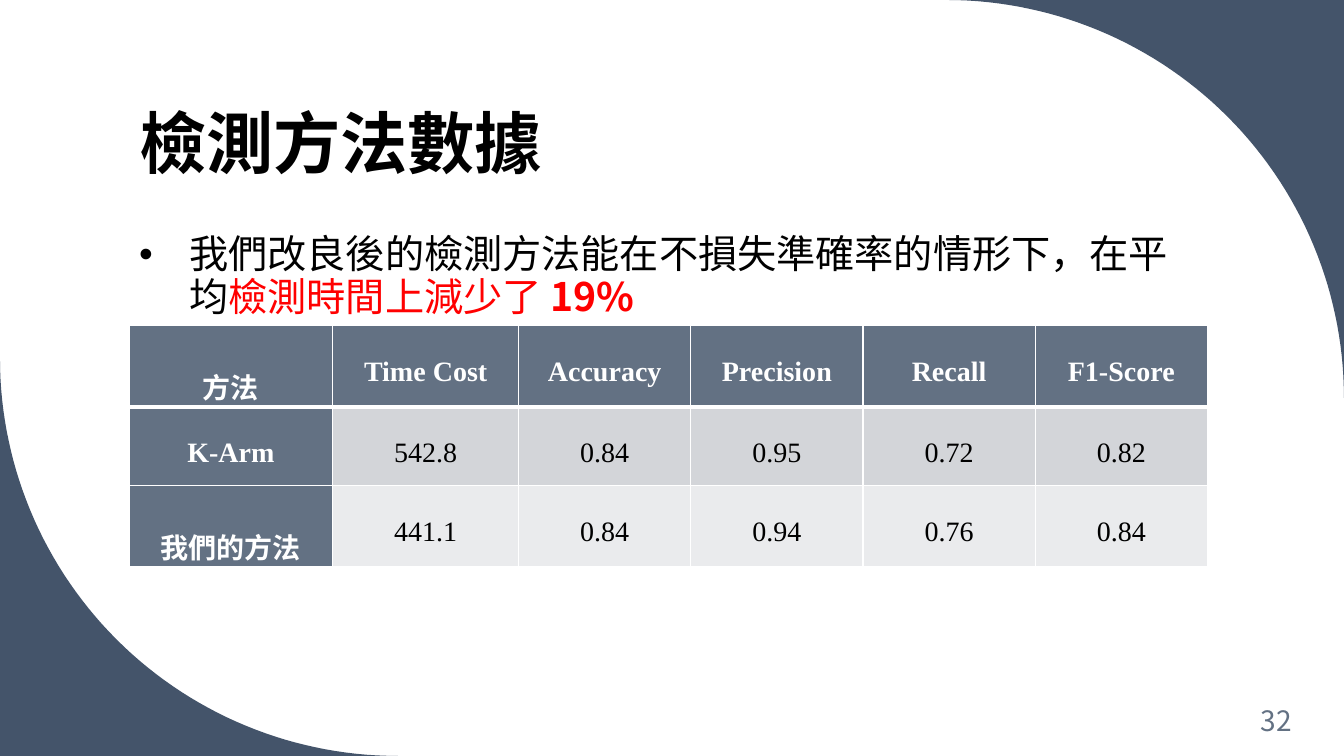
import math
from lxml import etree
from pptx import Presentation
from pptx import util as u
from pptx.dml.color import RGBColor
from pptx.enum import text
from pptx.oxml import ns
from dataclasses import dataclass


@dataclass(frozen=True)
class Theme:
    navy: str = "44546A"
    slate: str = "637183"
    bands: tuple = ("D3D5D9", "EAEBED")
    white: str = "FFFFFF"
    black: str = "000000"
    red: str = "FF0000"
    cjk: str = "Noto Sans CJK TC"
    serif: str = "Times New Roman"
    title: int = 48
    body: int = 28
    small: int = 20


theme = Theme()
PX = 9525


def add_run(p, content, size=theme.small, font=theme.cjk, color=theme.black, bold=False):
    r = p.add_run()
    r.text = content
    r.font.size = u.Pt(size)
    r.font.name = font
    r.font.bold = bold
    r.font.color.rgb = RGBColor.from_string(color)
    ea = etree.SubElement(r.font._element, ns.qn("a:ea"))
    ea.set("typeface", font)


def add_box(left, top, width, height, anchor=text.MSO_ANCHOR.TOP):
    tf = s.shapes.add_textbox(left * PX, top * PX, width * PX, height * PX).text_frame
    tf.word_wrap = True
    tf.vertical_anchor = anchor
    return tf.paragraphs[0]


prs = Presentation()
prs.slide_width, prs.slide_height = 1280 * PX, 720 * PX
s = prs.slides.add_slide(prs.slide_layouts[6])

radius = 379
for corner_x, corner_y, center_x, center_y, start in (
    (1280, 0, 1280 - radius, radius, 270),
    (0, 720, radius, 720 - radius, 90),
):
    angles = [math.radians(start + 1.5 * i) for i in range(61)]
    arc = [
        (round((center_x + radius * math.cos(a)) * PX), round((center_y + radius * math.sin(a)) * PX))
        for a in angles
    ]
    outline = s.shapes.build_freeform(corner_x * PX, corner_y * PX)
    outline.add_line_segments(arc, close=True)
    sp = outline.convert_to_shape()
    sp.shadow.inherit = False
    sp.fill.solid()
    sp.fill.fore_color.rgb = RGBColor.from_string(theme.navy)
    sp.line.fill.background()

rows = [
    ["方法", "Time Cost", "Accuracy", "Precision", "Recall", "F1-Score"],
    ["K-Arm", "542.8", "0.84", "0.95", "0.72", "0.82"],
    ["我們的方法", "441.1", "0.84", "0.94", "0.76", "0.84"],
]
widths = [194, 177] + [164] * 4
row_height = 75
table = s.shapes.add_table(
    len(rows), len(widths), 123 * PX, 310 * PX, sum(widths) * PX, len(rows) * row_height * PX
).table
for column, width in zip(table.columns, widths):
    column.width = width * PX
for i, row in enumerate(rows):
    table.rows[i].height = row_height * PX
    for j, value in enumerate(row):
        heading = i == 0 or j == 0
        cell = table.cell(i, j)
        cell.margin_left = cell.margin_right = 7 * PX
        cell.margin_top = cell.margin_bottom = 0
        cell.fill.solid()
        cell.fill.fore_color.rgb = RGBColor.from_string(theme.slate if heading else theme.bands[i - 1])
        p = cell.text_frame.paragraphs[0]
        p.alignment = text.PP_ALIGN.CENTER
        p.line_spacing = 2.0
        add_run(
            p, value,
            font=theme.cjk if value in ("方法", "我們的方法") else theme.serif,
            color=theme.white if heading else theme.black,
            bold=heading,
        )
        tc_pr = cell._tc.get_or_add_tcPr()
        for k, side in enumerate("LRTB"):
            thick = (i, side) in ((0, "B"), (1, "T"))
            ln = etree.Element(ns.qn(f"a:ln{side}"), w=str(u.Pt(3 if thick else 1)))
            fill = etree.SubElement(ln, ns.qn("a:solidFill"))
            etree.SubElement(fill, ns.qn("a:srgbClr"), val=theme.white)
            tc_pr.insert(k, ln)

p = add_box(123, 40, 1026, 139, text.MSO_ANCHOR.BOTTOM)
p.line_spacing = 0.9
add_run(p, "檢測方法數據", size=theme.title, bold=True)

p = add_box(1066, 667, 174, 38, text.MSO_ANCHOR.MIDDLE)
p.alignment = text.PP_ALIGN.RIGHT
add_run(p, "32", color=theme.slate)

p = add_box(123, 219, 1026, 353)
p.line_spacing = 0.9
p_pr = p._p.get_or_add_pPr()
p_pr.set("marL", str(48 * PX))
p_pr.set("indent", str(-48 * PX))
etree.SubElement(p_pr, ns.qn("a:buFont"), typeface="Arial")
etree.SubElement(p_pr, ns.qn("a:buChar"), char="•")
add_run(p, "我們改良後的檢測方法能在不損失準確率的情形下，在平均", size=theme.body)
add_run(p, "檢測時間上減少了 ", size=theme.body, color=theme.red)
add_run(p, "19%", size=theme.body, color=theme.red, bold=True)

prs.save("out.pptx")
